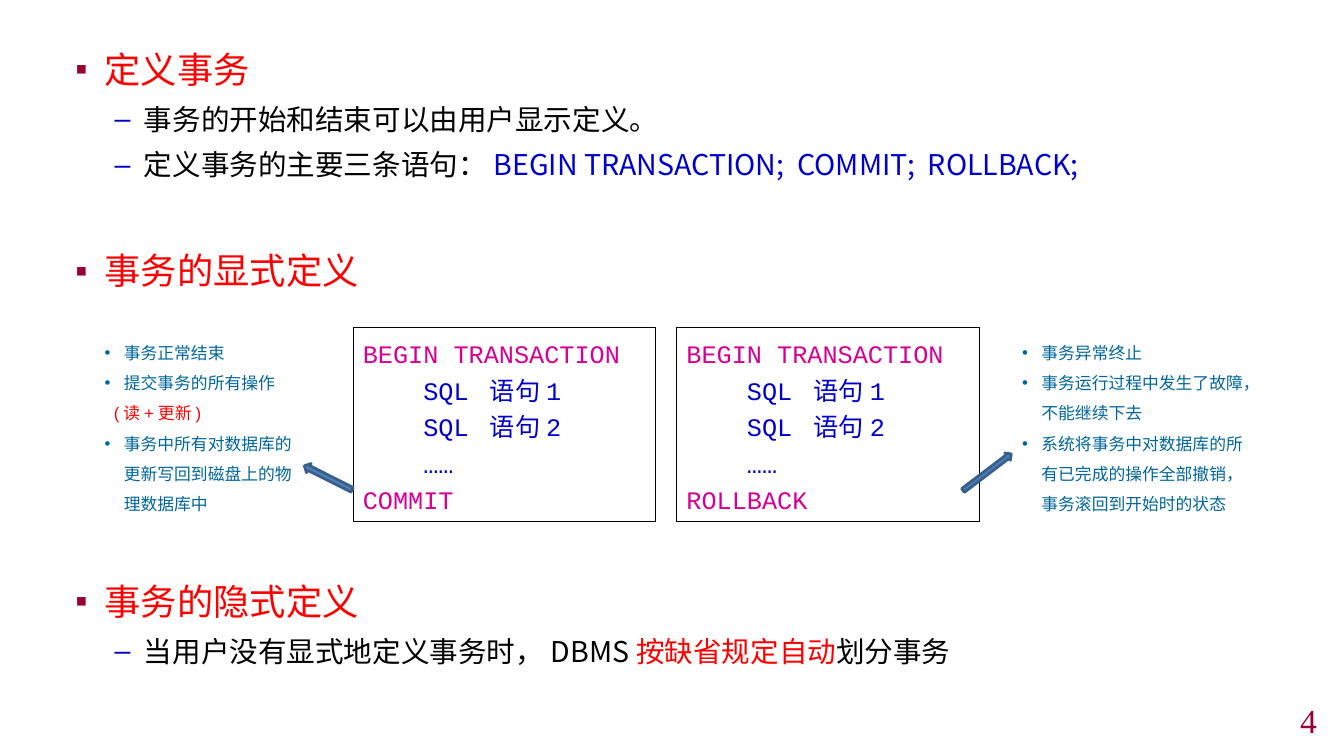
from dataclasses import dataclass

from lxml.etree import SubElement
from pptx import Presentation
from pptx.dml.color import RGBColor
from pptx.enum.shapes import MSO_SHAPE as Shape
from pptx.enum.text import MSO_ANCHOR as Anchor, PP_ALIGN as Align
from pptx.oxml.ns import qn
from pptx.util import Inches, Pt


@dataclass(frozen=True)
class Theme:
    red: str = "FF0000"
    black: str = "000000"
    blue: str = "0000CC"
    magenta: str = "D60093"
    teal: str = "006699"
    crimson: str = "990033"
    arrow_fill: str = "4F81BD"
    arrow_line: str = "3A5F8C"
    body_font: str = "Noto Sans CJK SC"
    code_font: str = "Courier New"
    note_font: str = "Arial"
    number_font: str = "Times New Roman"
    heading_size: float = 25.9
    point_size: float = 20.4
    code_size: float = 18
    note_size: float = 12
    number_size: float = 24


THEME = Theme()


def rgb(value):
    return RGBColor.from_string(value)


def add_bullet(paragraph, char, color=None, percent=None):
    properties = paragraph._p.get_or_add_pPr()
    if color:
        SubElement(SubElement(properties, qn("a:buClr")), qn("a:srgbClr"), val=color)
    if percent:
        SubElement(properties, qn("a:buSzPct"), val=str(percent * 1000))
    SubElement(properties, qn("a:buFont"), typeface=THEME.note_font)
    SubElement(properties, qn("a:buChar"), char=char)


def add_paragraph(frame, runs, *, size, font, spacing=None, before=0, margin=0,
                  hanging=0, bullet=None, bullet_color=None, bullet_percent=None,
                  align=Align.LEFT):
    """Write (text, colour) runs into the empty first paragraph or a new one."""
    first = frame.paragraphs[0]
    paragraph = frame.add_paragraph() if first.runs else first
    properties = paragraph._p.get_or_add_pPr()
    properties.set("marL", str(Inches(margin)))
    properties.set("indent", str(-Inches(hanging)))
    if bullet:
        add_bullet(paragraph, bullet, bullet_color, bullet_percent)
    paragraph.alignment = align
    if spacing:
        paragraph.line_spacing = spacing
    if before:
        paragraph.space_before = Pt(before)
    for text, color in runs:
        run = paragraph.add_run()
        run.text = text
        run.font.size = Pt(size)
        run.font.color.rgb = rgb(color)
        run.font.name = font
        SubElement(run._r.get_or_add_rPr(), qn("a:ea"), typeface=font)


def add_frame(slide, box, anchor=Anchor.TOP):
    frame = slide.shapes.add_textbox(*map(Inches, box)).text_frame
    frame.word_wrap = True
    frame.vertical_anchor = anchor
    return frame


def add_section(slide, box, heading, points):
    frame = add_frame(slide, box)
    add_paragraph(frame, [(heading, THEME.red)], size=THEME.heading_size,
                  font=THEME.body_font, spacing=1.2, margin=0.29, hanging=0.29,
                  bullet="▪", bullet_color=THEME.crimson, bullet_percent=95)
    for runs in points:
        add_paragraph(frame, runs, size=THEME.point_size, font=THEME.body_font,
                      spacing=1.2, before=3.2, margin=0.68, hanging=0.29,
                      bullet="–", bullet_color=THEME.blue)


def add_code(slide, box, ending):
    panel = slide.shapes.add_shape(Shape.RECTANGLE, *map(Inches, box))
    panel.shadow.inherit = False
    panel.fill.background()
    panel.line.color.rgb = rgb(THEME.black)
    panel.line.width = Pt(0.25)
    frame = panel.text_frame
    frame.word_wrap = True
    frame.vertical_anchor = Anchor.TOP
    statements = ["    SQL 语句1", "    SQL 语句2", "    ……"]
    lines = [("BEGIN TRANSACTION", THEME.magenta),
             *((statement, THEME.blue) for statement in statements),
             (ending, THEME.magenta)]
    for line in lines:
        add_paragraph(frame, [line], size=THEME.code_size,
                      font=THEME.code_font, spacing=Pt(26))


def add_notes_list(slide, box, notes):
    """Bulleted list; a note in parentheses is a red remark without a bullet."""
    frame = add_frame(slide, box)
    for note in notes:
        if note.startswith("("):
            color, layout = THEME.red, dict(margin=0.09)
        else:
            color, layout = THEME.teal, dict(margin=0.19, hanging=0.19, bullet="•")
        add_paragraph(frame, [(note, color)], size=THEME.note_size,
                      font=THEME.note_font, spacing=Pt(21.6), **layout)


def add_arrow(slide, box, rotation):
    arrow = slide.shapes.add_shape(Shape.LEFT_ARROW, *map(Inches, box))
    arrow.rotation = rotation
    arrow.shadow.inherit = False
    arrow.fill.solid()
    arrow.fill.fore_color.rgb = rgb(THEME.arrow_fill)
    arrow.line.color.rgb = rgb(THEME.arrow_line)
    arrow.line.width = Pt(2)


def add_explicit_examples(slide, top, height):
    add_code(slide, (3.5, top, 3, height), "COMMIT")
    add_code(slide, (6.71, top, 3, height), "ROLLBACK")
    add_notes_list(slide, (0.94, top, 2.17, height), [
        "事务正常结束",
        "提交事务的所有操作",
        "(读+更新)",
        "事务中所有对数据库的更新写回到磁盘上的物理数据库中",
    ])
    add_arrow(slide, (2.99, top + 1.44, 0.53, 0.1), 26.6)
    add_notes_list(slide, (10.04, top, 2.42, height), [
        "事务异常终止",
        "事务运行过程中发生了故障，不能继续下去",
        "系统将事务中对数据库的所有已完成的操作全部撤销，事务滚回到开始时的状态",
    ])
    add_arrow(slide, (9.49, top + 1.39, 0.6, 0.09), 142.8)


def add_page_number(slide, box, number):
    add_paragraph(add_frame(slide, box, Anchor.MIDDLE), [(number, THEME.crimson)],
                  size=THEME.number_size, font=THEME.number_font, align=Align.RIGHT)


def main():
    deck = Presentation()
    deck.slide_width, deck.slide_height = Inches(13.33), Inches(7.5)
    slide = deck.slides.add_slide(deck.slide_layouts[6])

    left, width = 0.65, 12.27
    add_section(slide, (left, 0.33, width, 1.85), "定义事务", [
        [("事务的开始和结束可以由用户显示定义。", THEME.black)],
        [("定义事务的主要三条语句：", THEME.black),
         ("BEGIN TRANSACTION;  COMMIT;  ROLLBACK;", THEME.blue)],
    ])
    add_section(slide, (left, 2.33, width, 0.75), "事务的显式定义", [])
    add_explicit_examples(slide, 3.25, 1.92)
    add_section(slide, (left, 5.61, width, 1.3), "事务的隐式定义", [
        [("当用户没有显式地定义事务时，DBMS", THEME.black),
         ("按缺省规定自动", THEME.red), ("划分事务", THEME.black)],
    ])
    add_page_number(slide, (10.33, 6.99, 2.83, 0.31), "4")
    deck.save("out.pptx")


if __name__ == "__main__":
    main()
